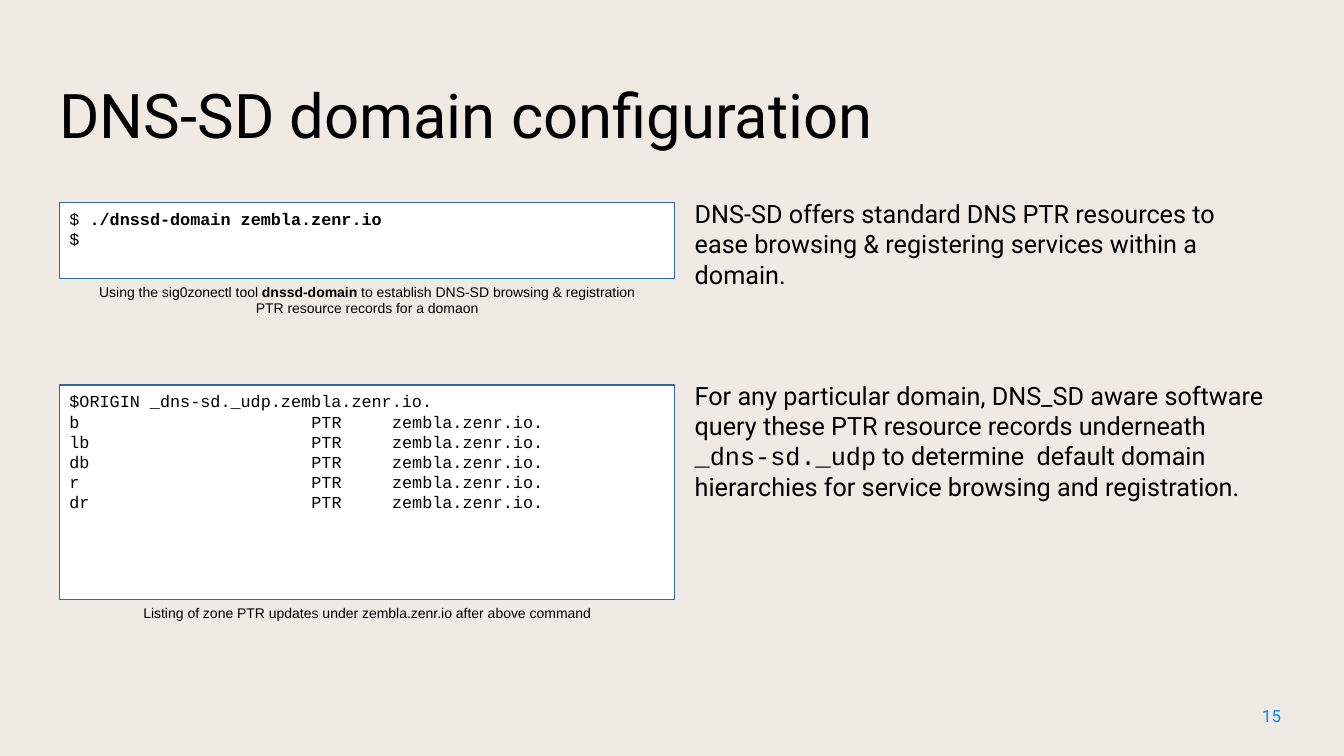
import pptx
import pptx.dml.color
import pptx.enum.shapes
import pptx.enum.text
import pptx.oxml
import pptx.oxml.ns
import pptx.util

Inches, Pt = pptx.util.Inches, pptx.util.Pt
ALIGN, ANCHOR = pptx.enum.text.PP_ALIGN, pptx.enum.text.MSO_ANCHOR

COLORS = {"paper": "EFEAE4", "ink": "000000", "panel": "FFFFFF",
          "rule": "3465A4", "number": "0087FF"}
SANS, MONO, CAPTION = "Roboto", "Courier New", "Arial"

# A paragraph is a list of runs: (text, font, bold)
TITLE = [[("DNS-SD domain configuration", SANS, False)]]
EXPLANATION = [
    [("DNS-SD offers standard DNS PTR resources to ease browsing & "
      "registering services within a domain.", SANS, False)],
    [("For any particular domain, DNS_SD aware software query these PTR "
      "resource records underneath ", SANS, False),
     ("_dns-sd._udp", MONO, False),
     (" to determine  default domain hierarchies for service browsing and "
      "registration.", SANS, False)],
]
COMMAND = [
    [("$ ", MONO, False), ("./dnssd-domain zembla.zenr.io", MONO, True)],
    [("$", MONO, False)],
]
COMMAND_CAPTION = [[
    ("Using the sig0zonectl tool ", CAPTION, False),
    ("dnssd-domain", CAPTION, True),
    (" to establish DNS-SD browsing & registration\n"
     "PTR resource records for a domaon", CAPTION, False),
]]
ORIGIN = "$ORIGIN _dns-sd._udp.zembla.zenr.io."
RECORD_NAMES = ["b", "lb", "db", "r", "dr"]
ZONE = [[(line, MONO, False)] for line in
        [ORIGIN] + [f"{name}\tPTR\tzembla.zenr.io." for name in RECORD_NAMES]]
ZONE_CAPTION = [[("Listing of zone PTR updates under zembla.zenr.io after "
                  "above command", CAPTION, False)]]
PAGE_NUMBER = [[("15", SANS, False)]]

# Layout in inches
WIDTH, HEIGHT = 13.33, 7.5
LEFT, LEFT_WIDTH = 0.59, 6.1
RIGHT, RIGHT_WIDTH = LEFT + LEFT_WIDTH + 0.2, 5.72
EXAMPLES = [  # top, panel height, caption height, code, caption
    (2.01, 0.75, 0.41, COMMAND, COMMAND_CAPTION),
    (3.82, 2.13, 0.25, ZONE, ZONE_CAPTION),
]
RECORD_COLUMNS = (24, 32)  # characters before the type and the target
CODE_SIZE = 12
CHARACTER_WIDTH = 0.6 * CODE_SIZE  # points


def color(name):
    return pptx.dml.color.RGBColor.from_string(COLORS[name])


def add_tab_stops(paragraph):
    properties = paragraph._p.get_or_add_pPr()
    tabs = pptx.oxml.parse_xml(f"<a:tabLst {pptx.oxml.ns.nsdecls('a')}/>")
    for column in RECORD_COLUMNS:
        tab = tabs.makeelement(pptx.oxml.ns.qn("a:tab"), {
            "pos": str(Pt(column * CHARACTER_WIDTH)), "algn": "l"})
        tabs.append(tab)
    properties.append(tabs)


def write(shape, paragraphs, size, ink="ink", align=ALIGN.LEFT,
          anchor=ANCHOR.TOP, inset=(0, 0), gap=0):
    """Fill a shape with runs; gap is the space in points between paragraphs."""
    frame = shape.text_frame
    frame.word_wrap = True
    frame.vertical_anchor = anchor
    frame.margin_left = frame.margin_right = Inches(inset[0])
    frame.margin_top = frame.margin_bottom = Inches(inset[1])
    for index, runs in enumerate(paragraphs):
        paragraph = frame.add_paragraph() if index else frame.paragraphs[0]
        paragraph.alignment = align
        if index and gap:
            paragraph.space_before = Pt(gap)
        if any("\t" in text for text, _, _ in runs):
            add_tab_stops(paragraph)
        for text, font, bold in runs:
            for number, line in enumerate(text.split("\n")):
                if number:
                    paragraph.add_line_break()
                run = paragraph.add_run()
                run.text = line
                run.font.name = font
                run.font.size = Pt(size)
                run.font.bold = bold
                run.font.color.rgb = color(ink)


def add_text(slide, box, paragraphs, size, **style):
    write(slide.shapes.add_textbox(*map(Inches, box)), paragraphs, size, **style)


def add_panel(slide, box, code):
    panel = slide.shapes.add_shape(
        pptx.enum.shapes.MSO_SHAPE.RECTANGLE, *map(Inches, box))
    panel.shadow.inherit = False
    panel.fill.solid()
    panel.fill.fore_color.rgb = color("panel")
    panel.line.color.rgb = color("rule")
    panel.line.width = Pt(0.85)
    write(panel, code, CODE_SIZE, inset=(0.1, 0.06))


def main():
    deck = pptx.Presentation()
    deck.slide_width, deck.slide_height = Inches(WIDTH), Inches(HEIGHT)
    slide = deck.slides.add_slide(deck.slide_layouts[6])
    slide.background.fill.solid()
    slide.background.fill.fore_color.rgb = color("paper")

    add_text(slide, (LEFT, 0.4, 11.82, 1.45), TITLE, 44, anchor=ANCHOR.MIDDLE)
    add_text(slide, (RIGHT, 1.97, RIGHT_WIDTH, 4.7), EXPLANATION, 18, gap=65)
    add_text(slide, (12.42, 6.95, 0.62, 0.4), PAGE_NUMBER, 12, ink="number",
             inset=(0.1, 0.05))
    for top, height, caption_height, code, caption in EXAMPLES:
        add_panel(slide, (LEFT, top, LEFT_WIDTH, height), code)
        add_text(slide, (LEFT, top + height, LEFT_WIDTH, caption_height),
                 caption, 10, align=ALIGN.CENTER, inset=(0.1, 0.05))
    deck.save("out.pptx")


if __name__ == "__main__":
    main()
